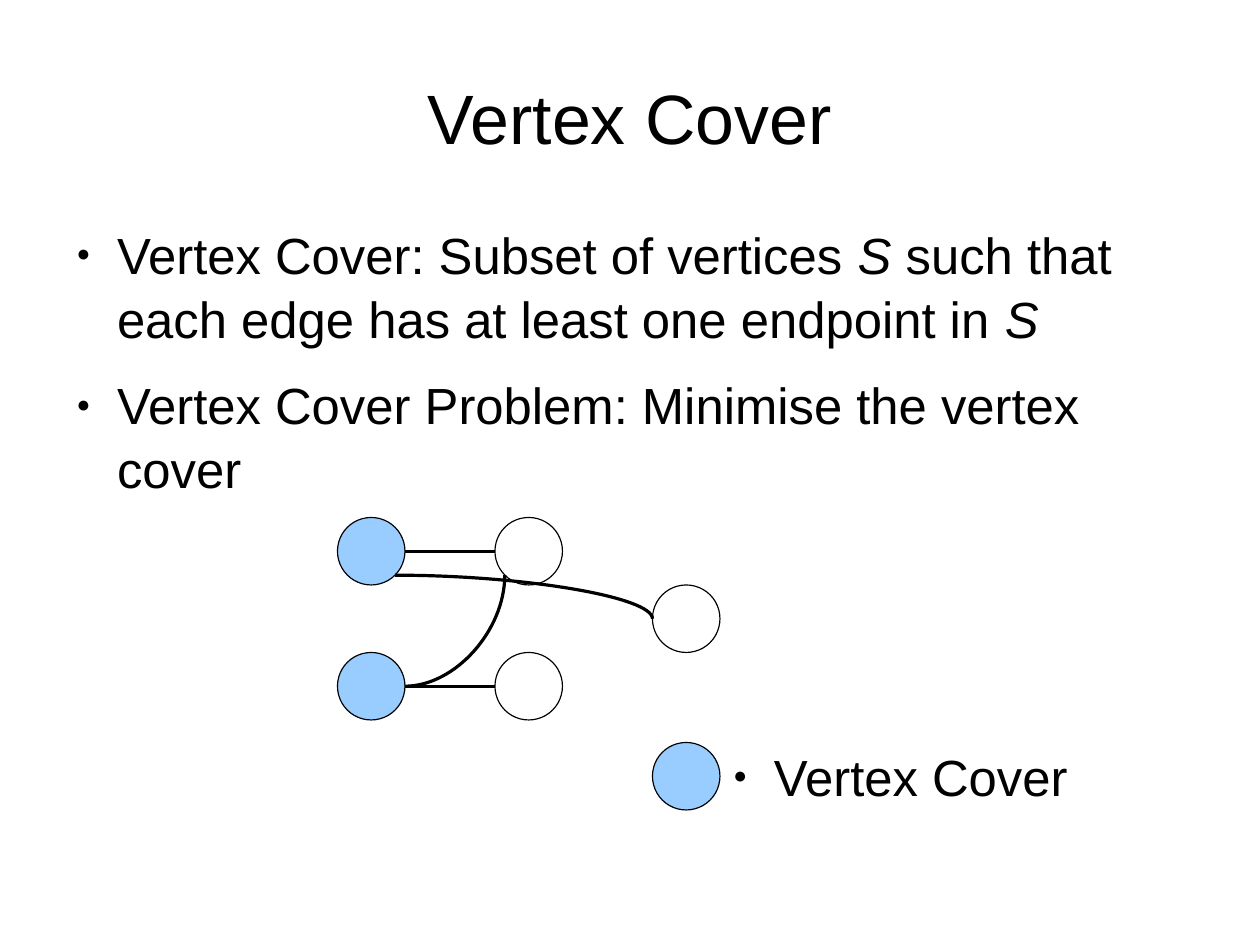
from lxml.etree import SubElement
from pptx import Presentation
from pptx.dml.color import RGBColor
from pptx.enum.shapes import MSO_CONNECTOR, MSO_SHAPE
from pptx.enum.text import MSO_ANCHOR, MSO_AUTO_SIZE, PP_ALIGN
from pptx.oxml.ns import qn
from pptx.util import Cm, Pt

COLORS = {"ink": "000000", "cover": "99CCFF", "plain": "FFFFFF"}
COLUMNS, ROWS = 56, 42
CELL = Cm(0.5)
NODE_SIZE = 3


def grid(*cells):
    return [round(cell * CELL) for cell in cells]


def color(name):
    return RGBColor.from_string(COLORS[name])


def apply(target, formats):
    for attribute, value in formats.items():
        setattr(target, attribute, value)


class GraphSlide:
    font_name = "Arial"
    frame_format = {
        "margin_left": 0, "margin_right": 0, "margin_top": 0, "margin_bottom": 0,
        "word_wrap": True, "auto_size": MSO_AUTO_SIZE.NONE,
    }

    def __init__(self, deck):
        self.slide = deck.slides.add_slide(deck.slide_layouts[3])

    def _place(self, index, box, anchor):
        holder = self.slide.placeholders[index]
        apply(holder, dict(zip(("left", "top", "width", "height"), grid(*box))))
        apply(holder.text_frame, {**self.frame_format, "vertical_anchor": anchor})
        return holder.text_frame

    def _style(self, font, size):
        apply(font, {"name": self.font_name, "size": Pt(size)})
        font.color.rgb = color("ink")

    def title(self, text, box):
        paragraph = self._place(0, box, MSO_ANCHOR.MIDDLE).paragraphs[0]
        paragraph.alignment = PP_ALIGN.CENTER
        run = paragraph.add_run()
        run.text = text
        self._style(run.font, 44)

    def bullets(self, index, items, box):
        """Fill a body placeholder; every second part of an item is italic."""
        frame = self._place(index, box, MSO_ANCHOR.TOP)
        for number, parts in enumerate(items):
            paragraph = frame.add_paragraph() if number else frame.paragraphs[0]
            apply(paragraph, {"space_before": Pt(0), "space_after": Pt(14.2),
                              "line_spacing": 1.05})
            self._bullet(paragraph)
            for position, text in enumerate(parts):
                run = paragraph.add_run()
                run.text = text
                self._style(run.font, 32)
                run.font.italic = position % 2 == 1

    def _bullet(self, paragraph):
        properties = paragraph._p.get_or_add_pPr()
        properties.set("marL", str(Cm(1.2)))
        properties.set("indent", str(-Cm(0.9)))
        bullet_color = SubElement(properties, qn("a:buClr"))
        SubElement(bullet_color, qn("a:srgbClr"), val=COLORS["ink"])
        SubElement(properties, qn("a:buSzPct"), val="45000")
        SubElement(properties, qn("a:buFont"), typeface=self.font_name)
        SubElement(properties, qn("a:buChar"), char="●")

    def _outline(self, line):
        line.color.rgb = color("ink")
        line.width = Pt(0)

    def node(self, column, row, fill):
        circle = self.slide.shapes.add_shape(
            MSO_SHAPE.OVAL, *grid(column, row, NODE_SIZE, NODE_SIZE))
        circle.shadow.inherit = False
        circle.fill.solid()
        circle.fill.fore_color.rgb = color(fill)
        self._outline(circle.line)

    def edge(self, start, end):
        """Join two points: straight along a row, otherwise with a quarter curve."""
        level = start[1] == end[1]
        kind = MSO_CONNECTOR.STRAIGHT if level else MSO_CONNECTOR.CURVE
        link = self.slide.shapes.add_connector(kind, *grid(*start, *end))
        self._outline(link.line)
        properties = link._element.spPr
        if not level:
            properties.find(qn("a:prstGeom")).set("prst", "curvedConnector2")
        SubElement(properties, qn("a:effectLst"))


def main():
    deck = Presentation()
    deck.slide_width, deck.slide_height = grid(COLUMNS, ROWS)
    page = GraphSlide(deck)

    page.title("Vertex Cover", (2.8, 1.93, 50.4, 6.5))
    page.bullets(1, [
        ("Vertex Cover: Subset of vertices ", "S",
         " such that each edge has at least one endpoint in ", "S"),
        ("Vertex Cover Problem: Minimise the vertex cover",),
    ], (2.8, 9.8, 50.4, 27.23))

    left, middle, right = 15, 22, 29
    upper, between, lower, legend = 23, 26, 29, 33
    radius = NODE_SIZE / 2
    diagonal = radius * 0.71
    for row in (upper, lower):
        page.node(left, row, "cover")
        page.node(middle, row, "plain")
        page.edge((left + NODE_SIZE, row + radius), (middle, row + radius))
    page.node(right, between, "plain")

    rim = upper + radius + diagonal
    page.edge((left + NODE_SIZE, lower + radius), (middle + radius - diagonal, rim))
    page.edge((left + radius + diagonal, rim), (right, between + radius))

    page.node(right, legend, "cover")
    page.bullets(2, [("Vertex Cover",)], (right + NODE_SIZE, legend, 16, 5.08))
    deck.save("out.pptx")


if __name__ == "__main__":
    main()
